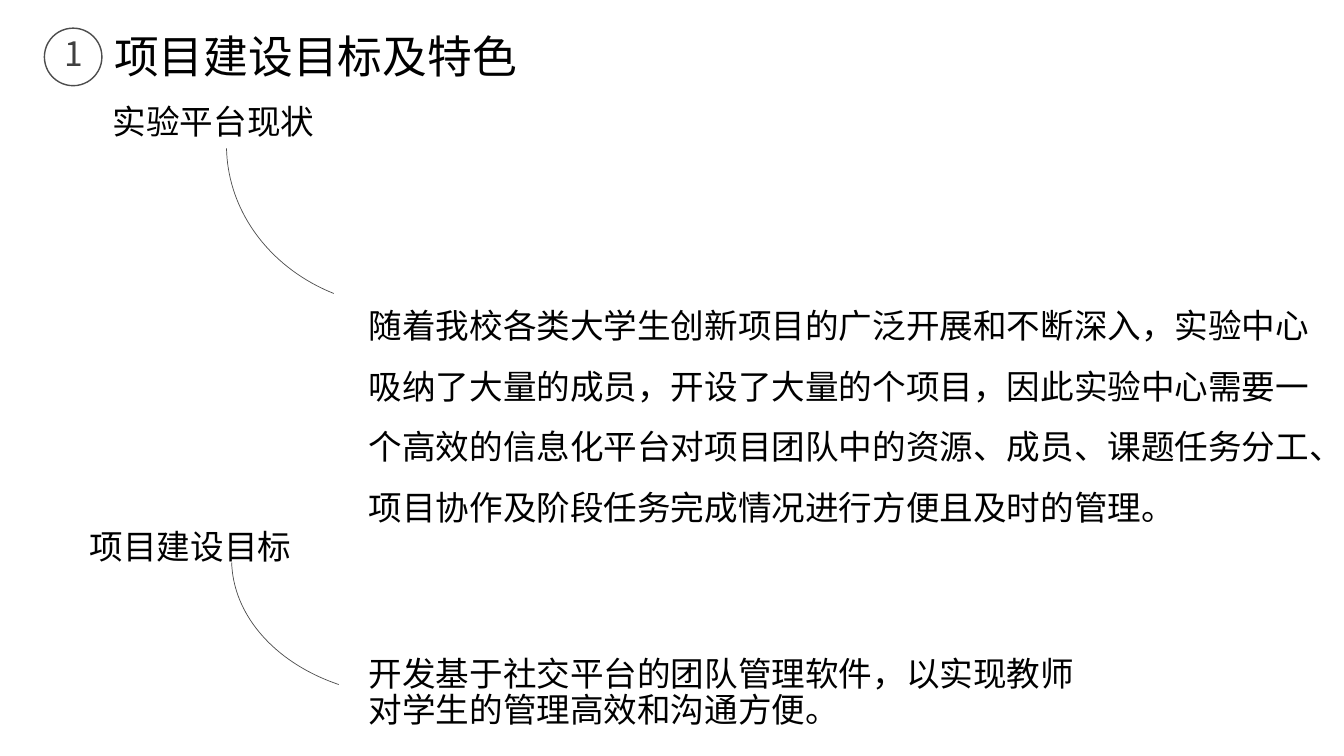
from pptx import Presentation
from pptx.dml.color import RGBColor
from pptx.enum.lang import MSO_LANGUAGE_ID
from pptx.enum.shapes import MSO_SHAPE
from pptx.enum.text import MSO_ANCHOR, MSO_AUTO_SIZE, PP_ALIGN
from pptx.oxml.ns import qn
from pptx.util import Cm, Pt
from lxml import etree

ARC, OVAL = MSO_SHAPE.ARC, MSO_SHAPE.OVAL
TOP, MIDDLE = MSO_ANCHOR.TOP, MSO_ANCHOR.MIDDLE
LEFT = PP_ALIGN.LEFT
NO_FIT = MSO_AUTO_SIZE.NONE
CHINESE = MSO_LANGUAGE_ID.SIMPLIFIED_CHINESE
COMPARISON_LAYOUT = 4

COLORS = {"text": "000000", "number": "404040", "line": "4D4D4D"}
LATIN, CJK = "Calibri", "Noto Sans CJK SC"


class SlideBuilder:
    def __init__(self, slide):
        self.slide = slide

    def color(self, name):
        return RGBColor.from_string(COLORS[name])

    def place(self, shape, box):
        shape.left, shape.top, shape.width, shape.height = (Cm(v) for v in box)

    def set_text(self, shape, text, size=24, font=LATIN, color="text", anchor=TOP, spacing=1.0):
        frame = shape.text_frame
        frame.text = text
        frame.word_wrap = True
        frame.auto_size = NO_FIT
        frame.vertical_anchor = anchor
        paragraph = frame.paragraphs[0]
        paragraph.alignment = LEFT
        paragraph.line_spacing = spacing
        paragraph.space_before = Pt(0)
        properties = paragraph.runs[0].font
        properties.name = font
        properties.size = Pt(size)
        properties.bold = False
        properties.language_id = CHINESE
        properties.color.rgb = self.color(color)
        return paragraph

    def placeholder(self, index, box, text, **style):
        """Move a layout placeholder and fill it without a bullet."""
        shape = self.slide.placeholders[index]
        self.place(shape, box)
        paragraph = self.set_text(shape, text, **style)
        settings = paragraph._p.get_or_add_pPr()
        settings.set("marL", "0")
        settings.set("indent", "0")
        etree.SubElement(settings, qn("a:buNone"))

    def label(self, box, text, **style):
        self.set_text(self.slide.shapes.add_textbox(*(Cm(v) for v in box)), text, **style)

    def outline(self, kind, box, width):
        shape = self.slide.shapes.add_shape(kind, *(Cm(v) for v in box))
        shape.shadow.inherit = False
        shape.fill.background()
        shape.line.color.rgb = self.color("line")
        shape.line.width = Pt(width)
        return shape

    def arc(self, box, start, end):
        """Draw part of an ellipse clockwise between two angles in degrees."""
        shape = self.outline(ARC, box, 0.5)
        for i, angle in enumerate((start, end)):
            shape.adjustments[i] = angle * 0.6  # 60000 units a degree, scaled by 100000


def main():
    deck = Presentation()
    deck.slide_width, deck.slide_height = Cm(33.88), Cm(19.05)
    builder = SlideBuilder(deck.slides.add_slide(deck.slide_layouts[COMPARISON_LAYOUT]))

    builder.arc((5.71, -0.43, 9.12, 8.18), 116.4, 179)
    builder.arc((5.84, 10.64, 9.12, 6.91), 120.5, 179)

    builder.outline(OVAL, (1.12, 0.71, 1.45, 1.45), 1)
    builder.label((1.37, 0.71, 1, 1.27), "1", font=CJK, color="number")
    builder.placeholder(0, (2.62, 0.41, 30.48, 2.13), "项目建设目标及特色",
                        size=32, anchor=MIDDLE, spacing=0.9)

    builder.placeholder(1, (2.59, 2.41, 7.8, 1.27), "实验平台现状")
    builder.placeholder(
        2, (9.04, 7.06, 24.41, 6.35),
        "随着我校各类大学生创新项目的广泛开展和不断深入，实验中心吸纳了大量的成员，"
        "开设了大量的个项目，因此实验中心需要一个高效的信息化平台对项目团队中的资源、"
        "成员、课题任务分工、项目协作及阶段任务完成情况进行方便且及时的管理。",
        font=CJK, spacing=1.5)

    builder.placeholder(3, (2.01, 13.13, 7.8, 1.27), "项目建设目标")
    builder.placeholder(
        4, (9.04, 16.41, 18.95, 2.13),
        "开发基于社交平台的团队管理软件，以实现教师对学生的管理高效和沟通方便。",
        anchor=MIDDLE, spacing=0.9)

    deck.save("out.pptx")


if __name__ == "__main__":
    main()
